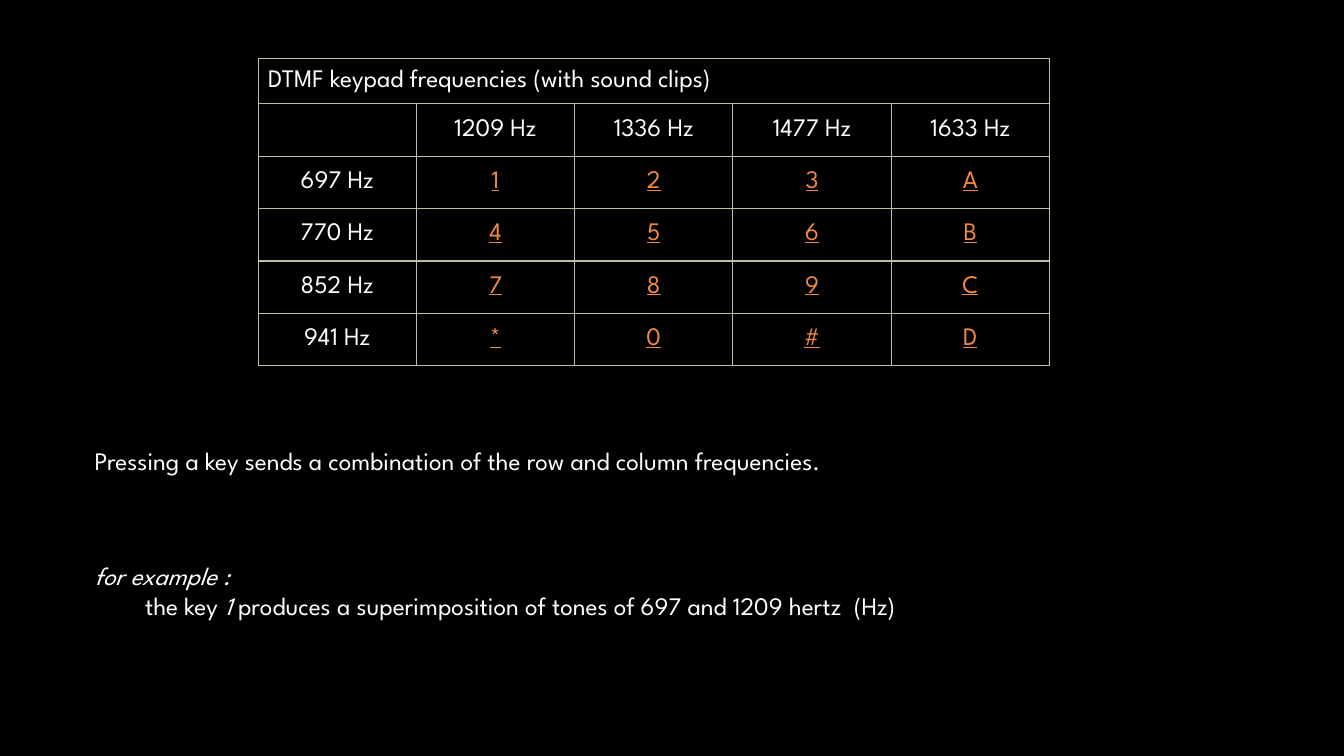
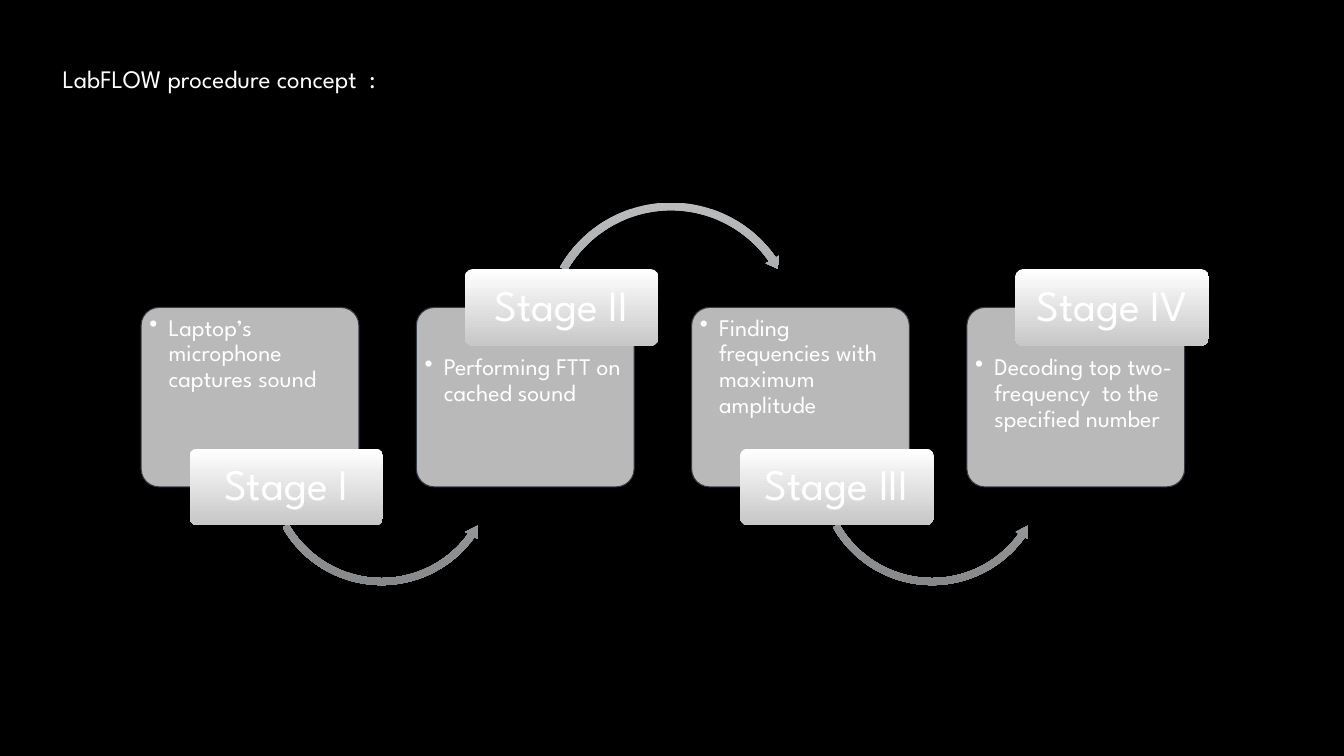
from dataclasses import dataclass

import pptx
import pptx.dml.color
import pptx.enum.shapes
import pptx.enum.text
import pptx.oxml
import pptx.oxml.ns
import pptx.util
from pptx.util import Inches

# Shared look
FONT = "League Spartan"
BLACK, WHITE, ORANGE = "000000", "FFFFFF", "F28943"
GRID, CARD, CARD_EDGE = "BFBFA5", "CECECF", "363D46"
TAG_STOPS = ("FFFFFF", "C7C7C7")
ARROW_STOPS = ("BABBBC", "87888A")
BODY_SIZE, CARD_SIZE, TAG_SIZE = 18, 17, 31

SHAPE = pptx.enum.shapes.MSO_SHAPE
ALIGN = pptx.enum.text.PP_ALIGN
ANCHOR = pptx.enum.text.MSO_ANCHOR

# Keypad table
COLUMN_HZ = ("1209", "1336", "1477", "1633")
KEY_ROWS = {"697": "123A", "770": "456B", "852": "789C", "941": "*0#D"}
COLUMN_WIDTH, CAPTION_HEIGHT, ROW_HEIGHT = 1.57, 0.45, 0.52

# Stage diagram
CARD_LEFT, CARD_TOP, CARD_PITCH = 1.4, 3.05, 2.73
CARD_WIDTH, CARD_HEIGHT = 2.16, 1.78
TAG_SHIFT, TAG_WIDTH, TAG_HEIGHT = 0.48, 1.92, 0.76
ARROW_SHIFT = 1.22


@dataclass(frozen=True)
class Stage:
    label: str
    text: str


@dataclass(frozen=True)
class Side:
    """Where a stage's tag sits and how the arrow leaving it bends."""
    tag_top: float
    text_inset: float
    arrow: int
    arrow_top: float
    arrow_size: float
    thickness: float
    angles: tuple[float, float, float]  # degrees: head, end, start
    head: float


BELOW = Side(4.45, 0.03, SHAPE.LEFT_CIRCULAR_ARROW, 3.51, 2.33,
             0.03, (5.98, 35.57, 150.41), 0.03)
ABOVE = Side(2.67, 0.42, SHAPE.CIRCULAR_ARROW, 1.97, 2.61,
             0.03, (5.31, 325.1, 209.59), 0.03)
STAGES = (
    Stage("Stage I", "Laptop’s microphone captures sound"),
    Stage("Stage II", "Performing FTT on cached sound"),
    Stage("Stage III", "Finding frequencies with maximum amplitude"),
    Stage("Stage IV", "Decoding top two-frequency  to the specified number"),
)


def rgb(value: str) -> pptx.dml.color.RGBColor:
    return pptx.dml.color.RGBColor.from_string(value)


def style(p, size: float = BODY_SIZE, color: str = WHITE, align=ALIGN.LEFT) -> None:
    p.alignment = align
    p.font.name = FONT
    p.font.size = pptx.util.Pt(size)
    p.font.color.rgb = rgb(color)


def place(sp, left: float, top: float, width: float, height: float) -> None:
    sp.left, sp.top = Inches(left), Inches(top)
    sp.width, sp.height = Inches(width), Inches(height)


def set_insets(tf, side: float, top: float, bottom: float) -> None:
    tf.margin_left = tf.margin_right = Inches(side)
    tf.margin_top, tf.margin_bottom = Inches(top), Inches(bottom)


def add_text(s, left: float, top: float, width: float, height: float):
    tf = s.shapes.add_textbox(Inches(left), Inches(top), Inches(width),
                              Inches(height)).text_frame
    tf.word_wrap = True
    return tf


def add_shape(s, kind, left: float, top: float, width: float, height: float):
    sp = s.shapes.add_shape(kind, Inches(left), Inches(top), Inches(width), Inches(height))
    sp.shadow.inherit = False
    sp.line.fill.background()
    return sp


def fill_gradient(sp, colors: tuple[str, str]) -> None:
    """Fill from top to bottom."""
    sp.fill.gradient()
    sp.fill.gradient_angle = 270
    for stop, color, position in zip(sp.fill.gradient_stops, colors, (0, 1)):
        stop.color.rgb = rgb(color)
        stop.position = position


def indent(p, left: float, first: float = 0):
    p_pr = p._p.get_or_add_pPr()
    p_pr.set("marL", str(Inches(left)))
    p_pr.set("indent", str(Inches(first)))
    return p_pr


def add_borders(cell, color: str) -> None:
    tc_pr = cell._tc.get_or_add_tcPr()
    for i, edge in enumerate(("lnL", "lnR", "lnT", "lnB")):
        tc_pr.insert(i, pptx.oxml.parse_xml(
            f'<a:{edge} {pptx.oxml.ns.nsdecls("a")} w="12700"><a:solidFill>'
            f'<a:srgbClr val="{color}"/></a:solidFill></a:{edge}>'))


def add_keypad_table(s) -> None:
    rows = [("DTMF keypad frequencies (with sound clips)", "", "", "", ""),
            ("", *(f"{hz}\u00a0Hz" for hz in COLUMN_HZ))]
    rows += [(f"{hz}\u00a0Hz", *keys) for hz, keys in KEY_ROWS.items()]
    n_rows, n_cols = len(rows), len(rows[0])
    height = CAPTION_HEIGHT + ROW_HEIGHT * (n_rows - 1)
    table = s.shapes.add_table(n_rows, n_cols, Inches(2.56), Inches(0.58),
                               Inches(COLUMN_WIDTH * n_cols), Inches(height)).table
    table.first_row = table.horz_banding = False
    for i, row in enumerate(rows):
        table.rows[i].height = Inches(ROW_HEIGHT if i else CAPTION_HEIGHT)
        for j, text in enumerate(row):
            cell = table.cell(i, j)
            cell.fill.background()
            add_borders(cell, GRID)
            cell.vertical_anchor = ANCHOR.MIDDLE
            cell.text = text
            p = cell.text_frame.paragraphs[0]
            is_key = i > 1 and j > 0
            style(p, color=ORANGE if is_key else WHITE,
                  align=ALIGN.CENTER if i else ALIGN.LEFT)
            if is_key:
                p.font.underline = True
    table.cell(0, 0).merge(table.cell(0, n_cols - 1))


def add_card(s, left: float, text: str, text_inset: float) -> None:
    sp = add_shape(s, SHAPE.ROUNDED_RECTANGLE, left, CARD_TOP, CARD_WIDTH, CARD_HEIGHT)
    sp.adjustments[0] = 0.1
    sp.fill.solid()
    sp.fill.fore_color.rgb = rgb(CARD)
    color = sp._element.spPr.find(".//" + pptx.oxml.ns.qn("a:srgbClr"))
    color.append(pptx.oxml.parse_xml(
        f'<a:alpha {pptx.oxml.ns.nsdecls("a")} val="90000"/>'))
    sp.line.color.rgb = rgb(CARD_EDGE)
    sp.line.width = pptx.util.Pt(0.75)
    tf = sp.text_frame
    tf.word_wrap = True
    tf.vertical_anchor = ANCHOR.TOP
    set_insets(tf, 0.03, text_inset, 0.03)
    p = tf.paragraphs[0]
    p.text = text
    style(p, CARD_SIZE)
    p.line_spacing = 0.9
    bullet = pptx.oxml.parse_xml(f'<a:buChar {pptx.oxml.ns.nsdecls("a")} char="•"/>')
    p_pr = indent(p, 0.19, -0.19)
    p_pr.find(pptx.oxml.ns.qn("a:defRPr")).addprevious(bullet)


def add_arrow(s, left: float, side: Side) -> None:
    sp = add_shape(s, side.arrow, left, side.arrow_top, side.arrow_size, side.arrow_size)
    # Angles are stored in 60000ths of a degree, adjustments in 100000ths
    values = (side.thickness, *(angle * 0.6 for angle in side.angles), side.head)
    for i, value in enumerate(values):
        sp.adjustments[i] = value
    fill_gradient(sp, ARROW_STOPS)


def add_tag(s, left: float, top: float, label: str) -> None:
    sp = add_shape(s, SHAPE.ROUNDED_RECTANGLE, left, top, TAG_WIDTH, TAG_HEIGHT)
    sp.adjustments[0] = 0.1
    fill_gradient(sp, TAG_STOPS)
    tf = sp.text_frame
    tf.word_wrap = True
    tf.vertical_anchor = ANCHOR.MIDDLE
    set_insets(tf, 0.06, 0.04, 0.04)
    p = tf.paragraphs[0]
    p.text = label
    style(p, TAG_SIZE, align=ALIGN.CENTER)
    p.line_spacing = 0.9


def build_keypad_slide(prs) -> None:
    s = prs.slides.add_slide(prs.slide_layouts[6])
    add_keypad_table(s)

    # Worked example
    tf = add_text(s, 0.84, 5.51, 9.58, 1.01)
    p = tf.paragraphs[0]
    p.text = "for example :"
    style(p)
    p.font.italic = True
    p = tf.add_paragraph()
    style(p)
    indent(p, 0.5)
    for text, italic in (
        ("the key\u00a0", False),
        ("1", True),
        ("\u00a0produces a superimposition of tones of 697 and 1209\u00a0hertz \u00a0(Hz)", False),
    ):
        r = p.add_run()
        r.text = text
        r.font.italic = italic

    # Rule
    p = add_text(s, 0.84, 4.37, 8.93, 0.4).paragraphs[0]
    p.text = "Pressing a key sends a combination of the row and column frequencies."
    style(p)


def build_procedure_slide(prs) -> None:
    s = prs.slides.add_slide(prs.slide_layouts[5])
    title = s.shapes.title
    place(title, 0.52, 0.58, 4.07, 0.4)
    tf = title.text_frame
    tf.text = "LabFLOW procedure concept  :"
    tf.word_wrap = True
    tf.auto_size = pptx.enum.text.MSO_AUTO_SIZE.NONE
    tf.vertical_anchor = ANCHOR.TOP
    style(tf.paragraphs[0])

    # Stages, with tags alternating below and above
    for i, stage in enumerate(STAGES):
        side = ABOVE if i % 2 else BELOW
        left = CARD_LEFT + i * CARD_PITCH
        add_card(s, left, stage.text, side.text_inset)
        if i < len(STAGES) - 1:
            add_arrow(s, left + ARROW_SHIFT, side)
        add_tag(s, left + TAG_SHIFT, side.tag_top, stage.label)


def main() -> None:
    prs = pptx.Presentation()
    prs.slide_width, prs.slide_height = Inches(13.33), Inches(7.5)
    background = prs.slide_master.background.fill
    background.solid()
    background.fore_color.rgb = rgb(BLACK)
    build_keypad_slide(prs)
    build_procedure_slide(prs)
    prs.save("out.pptx")


if __name__ == "__main__":
    main()
